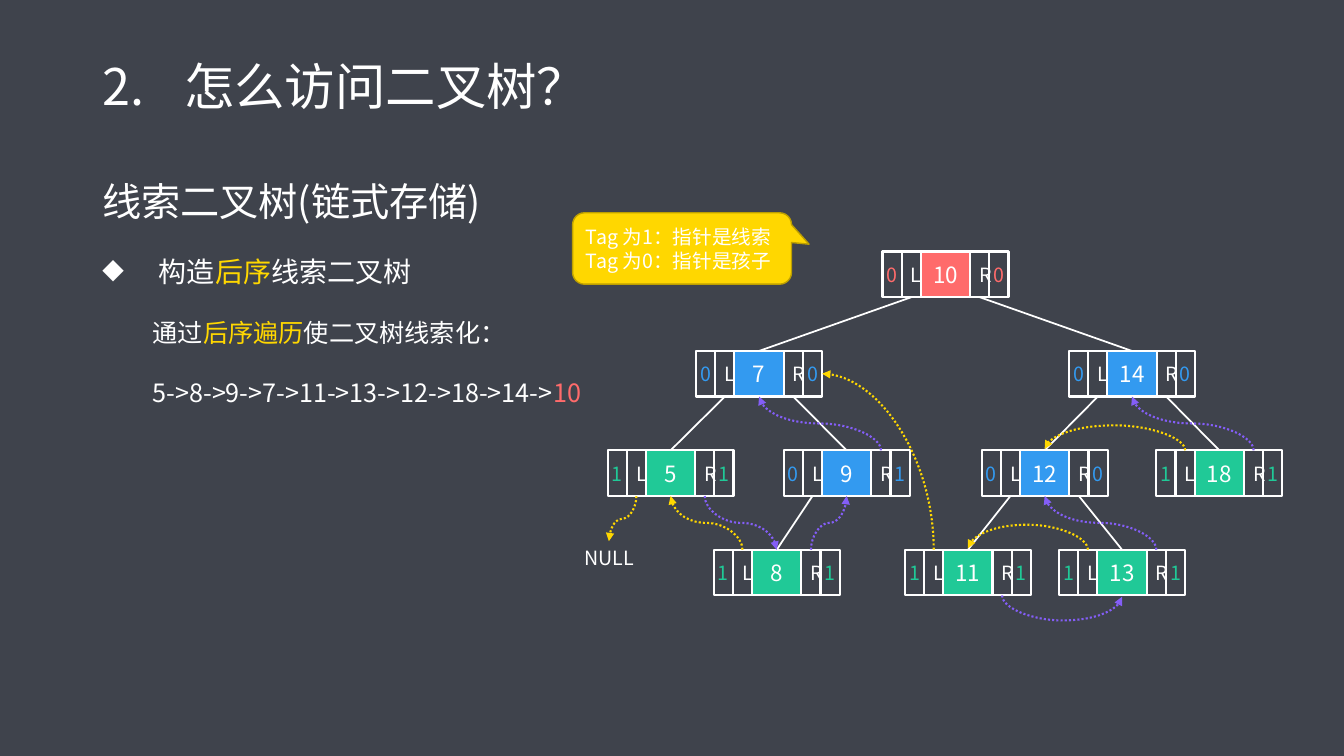
import dataclasses
import typing

import lxml.etree
import pptx
import pptx.dml.color
import pptx.enum.dml
import pptx.enum.shapes
import pptx.enum.text
import pptx.oxml.ns
import pptx.util

Pt = pptx.util.Pt
qn = pptx.oxml.ns.qn
ALIGN = pptx.enum.text.PP_ALIGN
SHAPES = pptx.enum.shapes.MSO_SHAPE
CONNECTORS = pptx.enum.shapes.MSO_CONNECTOR
FONT = "Noto Sans CJK SC"
COLORS = {"back": "3F434C", "white": "FFFFFF", "root": "FF6B6B", "inner": "339AF0",
          "leaf": "20C997", "yellow": "FFD700", "purple": "845EF7", "gold": "BD9F00"}

# Tree layout, in points
TREE_TOP, LEVEL_PITCH, NODE_HEIGHT = 179.7, 71, 32.6
TAG_WIDTH, VALUE_WIDTH = 13.7, 35.2
NODE_WIDTH = 4 * TAG_WIDTH + VALUE_WIDTH
SLOT_CENTERS = {"L": 1.5 * TAG_WIDTH, "value": NODE_WIDTH / 2, "R": NODE_WIDTH - 1.5 * TAG_WIDTH}
NULL_TOP = (434.9, 386.6)
ARC_DEPTH = 18


@dataclasses.dataclass
class Node:
    left: float
    level: int
    kind: str
    tags: str
    children: dict[str, int] = dataclasses.field(default_factory=dict)

    @property
    def top(self) -> float:
        return TREE_TOP + self.level * LEVEL_PITCH

    def anchor(self, slot: str, side: str) -> tuple[float, float]:
        if side == "right":
            return self.left + NODE_WIDTH, self.top + NODE_HEIGHT / 2
        return self.left + SLOT_CENTERS[slot], self.top + (NODE_HEIGHT if side == "bottom" else 0)


@dataclasses.dataclass
class Thread:
    source: int
    slot: str
    side: str
    target: typing.Optional[int]
    target_side: str


@dataclasses.dataclass
class Line:
    spans: list[tuple[str, str]]
    size: float
    margin: float = 0
    indent: float = 0
    spacing: float = 1.5
    before: float = 10
    bullets: list[tuple[str, dict[str, str]]] = dataclasses.field(default_factory=list)


NODES = {
    10: Node(630.4, 0, "root", "00", {"L": 7, "R": 14}),
    7: Node(497.2, 1, "inner", "00", {"L": 5, "R": 9}),
    14: Node(763.6, 1, "inner", "00", {"L": 12, "R": 18}),
    8: Node(509.8, 3, "leaf", "11"),
    11: Node(646.4, 3, "leaf", "11"),
    13: Node(756.5, 3, "leaf", "11"),
    18: Node(826, 2, "leaf", "11"),
    12: Node(701.2, 2, "inner", "00", {"L": 11, "R": 13}),
    9: Node(559.8, 2, "inner", "01", {"L": 8}),
    5: Node(434, 2, "leaf", "11"),
}
THREADS = [
    Thread(5, "R", "bottom", 8, "top"),
    Thread(8, "R", "top", 9, "bottom"),
    Thread(8, "L", "top", 5, "bottom"),
    Thread(11, "L", "top", 7, "right"),
    Thread(11, "R", "bottom", 13, "bottom"),
    Thread(13, "L", "top", 11, "top"),
    Thread(13, "R", "top", 12, "bottom"),
    Thread(18, "L", "top", 12, "top"),
    Thread(18, "R", "top", 14, "bottom"),
    Thread(9, "R", "top", 7, "bottom"),
    Thread(5, "L", "bottom", None, "top"),
]
TITLE = [Line([("怎么访问二叉树？", "white")], 36, 58.5, -58.5, 0.9, 0,
              [("a:buAutoNum", {"type": "arabicPeriod", "startAt": "2"})])]
BODY = [
    Line([("线索二叉树(链式存储)", "white")], 28),
    Line([("构造", "white"), ("后序", "yellow"), ("线索二叉树", "white")], 20, 40.5, -40.5,
         bullets=[("a:buFont", {"typeface": "OpenSymbol"}), ("a:buChar", {"char": "◆"})]),
    Line([("通过", "white"), ("后序遍历", "yellow"), ("使二叉树线索化：", "white")], 18, 36),
    Line([("5->8->9->7->11->13->12->18->14->", "white"), ("10", "root")], 18, 36),
]


def rgb(name: str) -> pptx.dml.color.RGBColor:
    return pptx.dml.color.RGBColor.from_string(COLORS[name])


def set_font(para, size: float, color: str) -> None:
    font = para.font
    font.size, font.name = Pt(size), FONT
    font.color.rgb = rgb(color)
    lxml.etree.SubElement(para._p.pPr.find(qn("a:defRPr")), qn("a:ea"), typeface=FONT)


def add_lines(page, box: tuple, lines: list[Line], anchor, align=ALIGN.LEFT) -> None:
    frame = page.shapes.add_textbox(*map(Pt, box)).text_frame
    frame.word_wrap, frame.vertical_anchor = True, anchor
    for index, line in enumerate(lines):
        para = frame.add_paragraph() if index else frame.paragraphs[0]
        para.alignment, para.line_spacing, para.space_before = align, line.spacing, Pt(line.before)
        set_font(para, line.size, line.spans[0][1])
        props = para._p.pPr
        props.set("marL", str(Pt(line.margin)))
        props.set("indent", str(Pt(line.indent)))
        for tag, attributes in line.bullets:
            props.find(qn("a:defRPr")).addprevious(lxml.etree.Element(qn(tag), attributes))
        for text, color in line.spans:
            span = para.add_run()
            span.text = text
            if len(line.spans) > 1:
                span.font.color.rgb = rgb(color)


def add_box(page, kind, box: tuple, text: str, size: float, color: str = "white",
            fill: typing.Optional[str] = None, outline: str = "white", width: float = 1.5):
    shape = page.shapes.add_shape(kind, *map(Pt, box))
    shape.shadow.inherit = False
    if fill:
        shape.fill.solid()
        shape.fill.fore_color.rgb = rgb(fill)
    else:
        shape.fill.background()
    shape.line.color.rgb, shape.line.width = rgb(outline), Pt(width)
    shape.text_frame.vertical_anchor = pptx.enum.text.MSO_ANCHOR.MIDDLE
    para = shape.text_frame.paragraphs[0]
    para.text, para.alignment = text, ALIGN.CENTER
    set_font(para, size, color)
    return shape


def add_tags(page, node: Node) -> None:
    for tag, left in zip(node.tags, (node.left, node.left + NODE_WIDTH - TAG_WIDTH)):
        cell = add_box(page, SHAPES.RECTANGLE, (left, node.top, TAG_WIDTH, NODE_HEIGHT),
                       tag, 14, node.kind)
        cell.text_frame.margin_left = cell.text_frame.margin_right = 0


def add_value(page, value: int, node: Node) -> None:
    cells = [("value", str(value), VALUE_WIDTH, 16, node.kind),
             ("L", "L", TAG_WIDTH, 14, None), ("R", "R", TAG_WIDTH, 14, None)]
    for slot, text, width, size, fill in cells:
        left = node.left + SLOT_CENTERS[slot] - width / 2
        add_box(page, SHAPES.RECTANGLE, (left, node.top, width, NODE_HEIGHT), text, size, fill=fill)


def add_line(page, kind, start: tuple, end: tuple, color: str, width: float):
    line = page.shapes.add_connector(kind, *map(Pt, start + end))
    line.line.color.rgb, line.line.width = rgb(color), Pt(width)
    lxml.etree.SubElement(line._element.spPr, qn("a:effectLst"))
    return line


def add_thread(page, thread: Thread) -> None:
    start = NODES[thread.source].anchor(thread.slot, thread.side)
    end = NODES[thread.target].anchor("value", thread.target_side) if thread.target else NULL_TOP
    is_arc = thread.side == thread.target_side
    if is_arc:  # one point of height carries the bow
        end = (end[0], end[1] + (1 if thread.side == "bottom" else -1))
    color = "yellow" if thread.slot == "L" else "purple"
    curve = add_line(page, CONNECTORS.CURVE, start, end, color, 1.5)
    curve.line.dash_style = pptx.enum.dml.MSO_LINE.ROUND_DOT
    lxml.etree.SubElement(curve.line._get_or_add_ln(), qn("a:tailEnd"), type="triangle")

    # Turn the curve by a quarter so that it leaves its node vertically
    across, down = end[0] - start[0], end[1] - start[1]
    turn = 90 if across * down < 0 else 270
    curve.width, curve.height = Pt(abs(down)), Pt(abs(across))
    curve.left = Pt((start[0] + end[0] - abs(down)) / 2)
    curve.top = Pt((start[1] + end[1] - abs(across)) / 2)
    frame = curve._element.spPr.find(qn("a:xfrm"))
    frame.set("rot", str(turn * 60000))
    frame.set("flipH", str(int((down > 0) == (turn == 270))))
    frame.set("flipV", str(int((across > 0) == (turn == 90))))
    geometry = curve._element.spPr.find(qn("a:prstGeom"))
    if thread.target_side == "right":
        geometry.set("prst", "curvedConnector2")
    elif is_arc:
        lxml.etree.SubElement(geometry.find(qn("a:avLst")), qn("a:gd"), name="adj1",
                              fmla=f"val {ARC_DEPTH * 100000}")


def main() -> None:
    deck = pptx.Presentation()
    deck.slide_width, deck.slide_height = Pt(960), Pt(540)
    page = deck.slides.add_slide(deck.slide_layouts[6])
    page.background.fill.solid()
    page.background.fill.fore_color.rgb = rgb("back")
    anchors = pptx.enum.text.MSO_ANCHOR
    # Explanation and title
    add_lines(page, (66, 106, 828, 405), BODY, anchors.TOP)
    add_lines(page, (66, 21, 828, 85), TITLE, anchors.MIDDLE)
    # Tree nodes, branches and threads
    for node in NODES.values():
        add_tags(page, node)
    for value, node in NODES.items():
        add_value(page, value, node)
    for node in NODES.values():
        for slot, child in node.children.items():
            add_line(page, CONNECTORS.STRAIGHT, node.anchor(slot, "bottom"),
                     NODES[child].anchor("value", "top"), "white", 1.25)
    for thread in THREADS:
        add_thread(page, thread)
    # End of the first thread, and the note on tags
    add_lines(page, (409.5, 386.6, 51, 24.2), [Line([("NULL", "white")], 14, spacing=1, before=0)],
              anchors.TOP, ALIGN.CENTER)
    note = add_box(page, SHAPES.ROUNDED_RECTANGULAR_CALLOUT, (409, 152, 156.4, 51),
                   "Tag 为1：指针是线索Tag 为0：指针是孩子", 14, fill="yellow", outline="gold", width=1)
    note.adjustments[0], note.adjustments[1] = 0.58, -0.06
    note.text_frame.paragraphs[0].alignment = ALIGN.LEFT
    deck.save("out.pptx")


if __name__ == "__main__":
    main()
